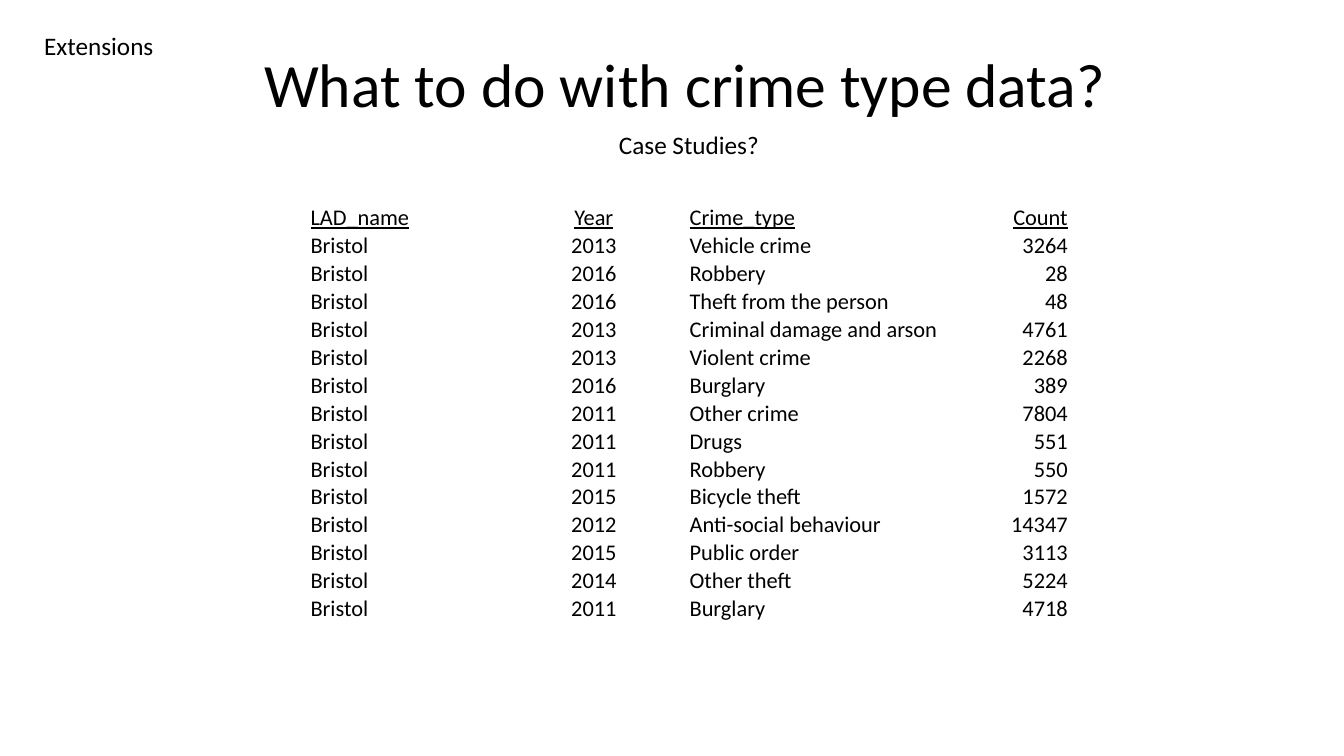
"""Build the crime type data slide."""
from pptx import Presentation
from pptx.dml.color import RGBColor
from pptx.enum.text import MSO_ANCHOR as ANCHOR, MSO_AUTO_SIZE as AUTO, PP_ALIGN as AL
from pptx.util import Inches, Pt

BLACK = RGBColor(0, 0, 0)
FONT = "Calibri"

TITLE = ("What to do with crime type data?", (2.52, 0.41, 8.64, 0.84), 44)
LABELS = [
    ("Extensions", (0.34, 0.25, 1.3, 0.4), 18),
    ("Case Studies?", (6.04, 1.23, 1.61, 0.4), 18),
]
HEADER = ("LAD_name", "Year", "Crime_type", "Count")
AREA = "Bristol"
CRIMES = [
    (2013, "Vehicle crime", 3264),
    (2016, "Robbery", 28),
    (2016, "Theft from the person", 48),
    (2013, "Criminal damage and arson", 4761),
    (2013, "Violent crime", 2268),
    (2016, "Burglary", 389),
    (2011, "Other crime", 7804),
    (2011, "Drugs", 551),
    (2011, "Robbery", 550),
    (2015, "Bicycle theft", 1572),
    (2012, "Anti-social behaviour", 14347),
    (2015, "Public order", 3113),
    (2014, "Other theft", 5224),
    (2011, "Burglary", 4718),
]
COLUMNS = [(1.88, AL.LEFT), (1.88, AL.CENTER), (2.5, AL.LEFT), (1.27, AL.RIGHT)]
TABLE_BOX = (3.07, 2.02, 7.54, 4.21)
ROW_HEIGHT = 0.22


def style(p, size, align=AL.LEFT, underline=False):
    """Format a paragraph and its runs."""
    p.alignment = align
    for r in p.runs:
        r.font.name, r.font.size, r.font.underline = FONT, Pt(size), underline
        r.font.color.rgb = BLACK


def fill_box(sp, text, box, size):
    """Place a text shape and write its single line."""
    sp.left, sp.top, sp.width, sp.height = map(Inches, box)
    tf = sp.text_frame
    tf.text = text
    tf.word_wrap = False
    tf.auto_size = AUTO.SHAPE_TO_FIT_TEXT
    tf.vertical_anchor = ANCHOR.TOP
    p = tf.paragraphs[0]
    p.line_spacing = 1.0
    style(p, size)


def add_crime_table(s):
    """Add the plain table of recorded crimes."""
    rows = [HEADER] + [(AREA, *crime) for crime in CRIMES]
    frame = s.shapes.add_table(len(rows), len(COLUMNS), *map(Inches, TABLE_BOX))
    table = frame.table
    table.first_row = table.horz_banding = False
    for column, (width, _) in zip(table.columns, COLUMNS):
        column.width = Inches(width)
    for i, values in enumerate(rows):
        table.rows[i].height = Inches(ROW_HEIGHT)
        for j, (value, (_, align)) in enumerate(zip(values, COLUMNS)):
            cell = table.cell(i, j)
            cell.text = str(value)
            cell.fill.background()
            cell.vertical_anchor = ANCHOR.BOTTOM
            cell.margin_left = cell.margin_right = cell.margin_top = Inches(0.01)
            cell.margin_bottom = 0
            style(cell.text_frame.paragraphs[0], 16, align, i == 0)
    frame.height = Inches(TABLE_BOX[3])


def main():
    """Create and save the presentation."""
    prs = Presentation()
    prs.slide_width, prs.slide_height = Inches(13.33), Inches(7.5)
    s = prs.slides.add_slide(prs.slide_layouts[5])
    add_crime_table(s)
    for text, box, size in LABELS:
        fill_box(s.shapes.add_textbox(*map(Inches, box)), text, box, size)
    fill_box(s.shapes.title, *TITLE)
    prs.save("out.pptx")


if __name__ == "__main__":
    main()
